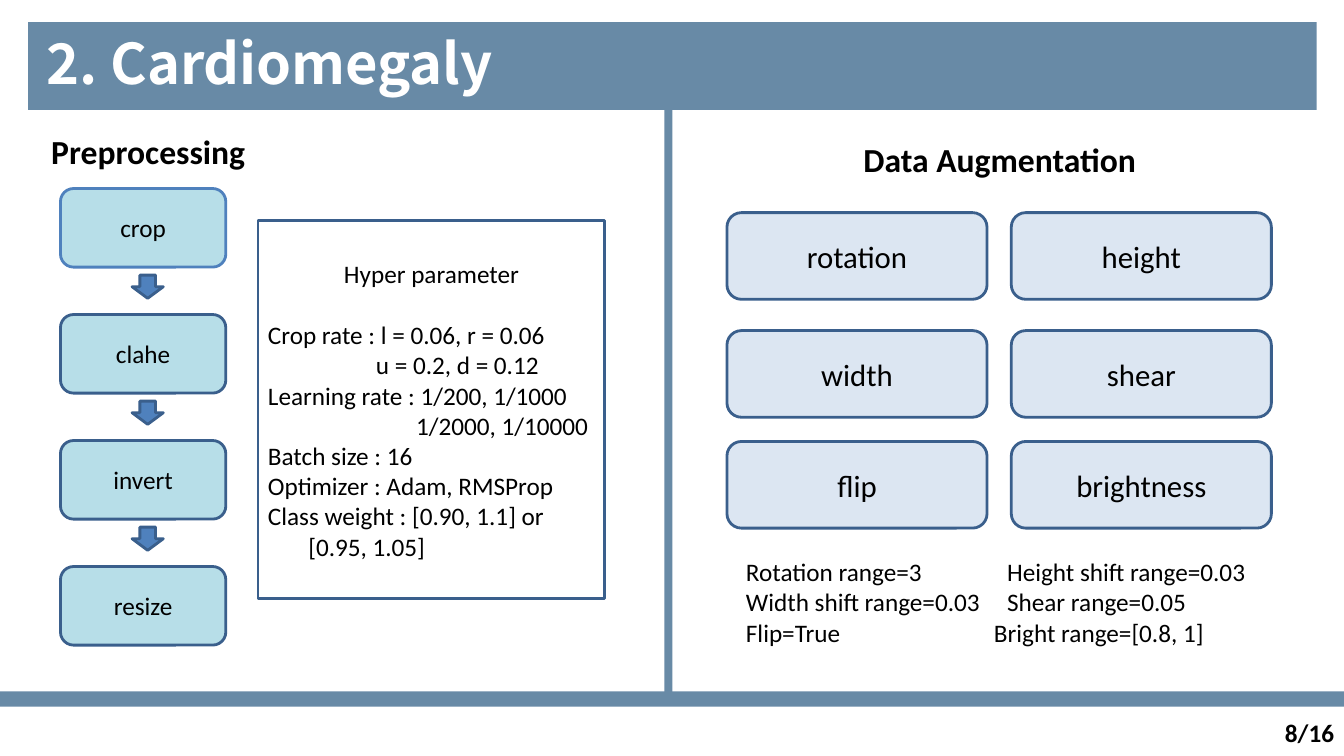
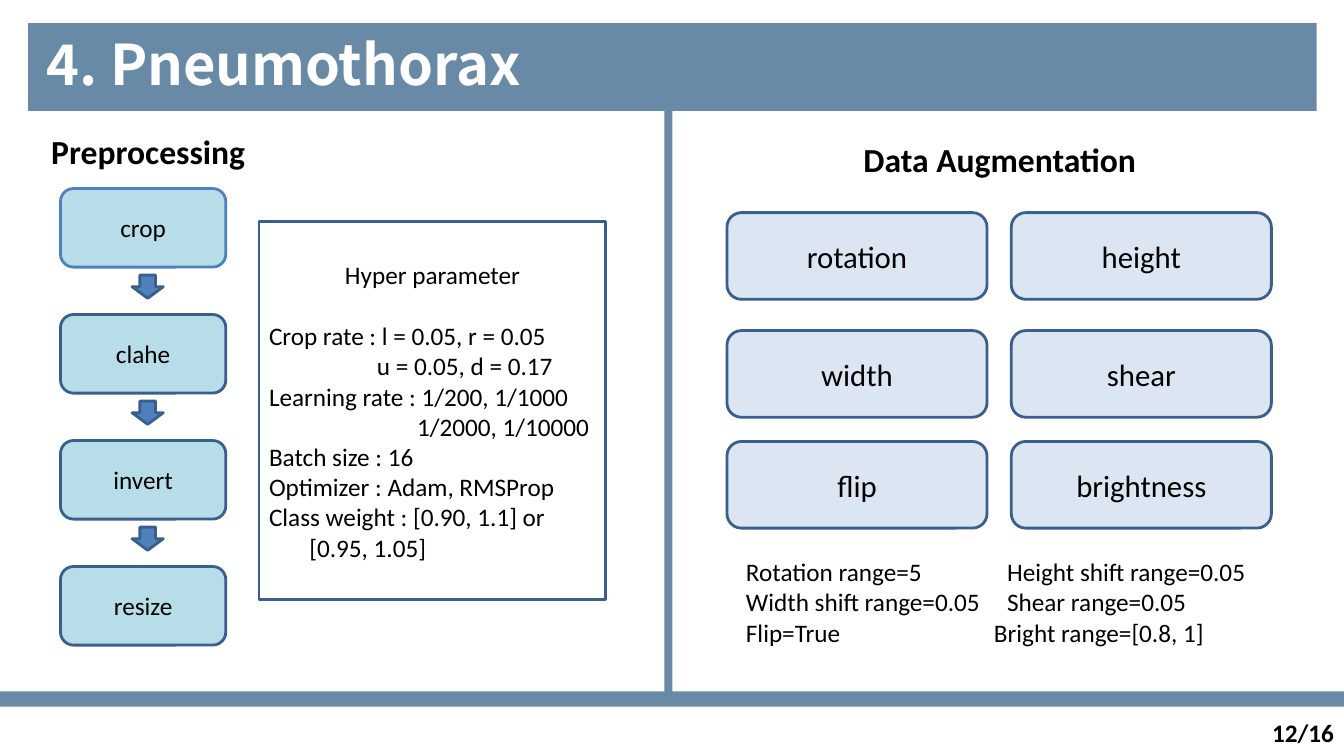
import pptx
import pptx.dml.color
import pptx.enum.shapes
import pptx.enum.text
import pptx.oxml
import pptx.oxml.ns
import pptx.util

Inches = pptx.util.Inches
Pt = pptx.util.Pt
Shape = pptx.enum.shapes.MSO_SHAPE
Align = pptx.enum.text.PP_ALIGN
Anchor = pptx.enum.text.MSO_ANCHOR
rgb = pptx.dml.color.RGBColor.from_string

# Shared look
BAND, EDGE, ACCENT = "688AA6", "3A5F8C", "4F81BD"
STEP_FILL, METHOD_FILL = "B7DEE8", "DCE6F2"
BODY = {"name": "Calibri", "size": Pt(18), "bold": False}
METHOD = BODY | {"size": Pt(22)}
HEADING = BODY | {"size": Pt(24), "bold": True}
NUMBER = BODY | {"bold": True}
TITLE = {"name": "Noto Sans CJK KR", "size": Pt(40), "bold": True}

STEPS = ["crop", "clahe", "invert", "resize"]
STEP_TOP, STEP_PITCH = 1.87, 1.25
METHODS = [
    (2.11, ["rotation", "height"]),
    (3.28, ["width", "shear"]),
    (4.38, ["flip", "brightness"]),
]

# What differs from slide to slide
SLIDES = [
    {"title": "2. Cardiomegaly", "title_top": 0.22, "number": "8/16",
     "panel_at": (2.56, 2.19),
     "crop": ("l = 0.06, r = 0.06", "u = 0.2, d = 0.12"),
     "rotation": "3", "shift": "0.03"},
    {"title": "4. Pneumothorax", "title_top": 0.23, "number": "12/16",
     "panel_at": (2.57, 2.2),
     "crop": ("l = 0.05, r = 0.05", "u = 0.05, d = 0.17"),
     "rotation": "5", "shift": "0.05"},
]


def add_block(page, kind, at, fill, edge=None):
    block = page.shapes.add_shape(kind, *map(Inches, at))
    block.shadow.inherit = False
    block.fill.solid()
    block.fill.fore_color.rgb = rgb(fill)
    if edge:
        block.line.color.rgb = rgb(edge)
        block.line.width = Pt(2)
    else:
        block.line.fill.background()
    return block


def write(box, lines, style, align=Align.LEFT, color="000000"):
    frame = box.text_frame
    frame.word_wrap = True
    for index, line in enumerate(lines):
        para = frame.add_paragraph() if index else frame.paragraphs[0]
        para.alignment = align
        span = para.add_run()
        span.text = line
        span.font.color.rgb = rgb(color)
        for name, value in style.items():
            setattr(span.font, name, value)
    return frame.paragraphs


deck = pptx.Presentation()
deck.slide_width, deck.slide_height = Inches(13.33), Inches(7.5)

for content in SLIDES:
    page = deck.slides.add_slide(deck.slide_layouts[5])

    # Title band
    title = page.shapes.title
    title.left, title.top = Inches(0.28), Inches(content["title_top"])
    title.width, title.height = Inches(12.78), Inches(0.87)
    title.fill.solid()
    title.fill.fore_color.rgb = rgb(BAND)
    frame_format = {
        "margin_left": Inches(0.18), "margin_top": Inches(0.14),
        "margin_right": 0, "margin_bottom": 0,
        "vertical_anchor": Anchor.TOP,
        "auto_size": pptx.enum.text.MSO_AUTO_SIZE.NONE,
    }
    for name, value in frame_format.items():
        setattr(title.text_frame, name, value)
    write(title, [content["title"]], TITLE, color="FFFFFF")[0].line_spacing = 0.9

    # Bottom band and column divider
    for at in [(0, 6.86, 13.33, 0.15), (6.59, 1.02, 0.08, 5.94)]:
        add_block(page, Shape.RECTANGLE, at, BAND)

    # Headings and page number
    for text, at, style, align in [
        ("Preprocessing", (0.41, 1.25, 4, 0.5), HEADING, Align.LEFT),
        ("Data Augmentation", (7.53, 1.33, 4.77, 0.5), HEADING, Align.CENTER),
        (content["number"], (12.33, 7.07, 1, 0.4), NUMBER, Align.RIGHT),
    ]:
        box = page.shapes.add_textbox(*map(Inches, at))
        write(box, [text], style, align)

    # Preprocessing steps with arrows between them
    for index, step in enumerate(STEPS):
        top = STEP_TOP + index * STEP_PITCH
        box = add_block(page, Shape.ROUNDED_RECTANGLE, (0.6, top, 1.64, 0.78),
                        STEP_FILL, EDGE if index else ACCENT)
        write(box, [step], BODY, Align.CENTER)
        if index < len(STEPS) - 1:
            add_block(page, Shape.DOWN_ARROW, (1.31, top + 0.86, 0.31, 0.23),
                      ACCENT, EDGE)

    # Hyper parameter panel
    panel = add_block(page, Shape.RECTANGLE, (*content["panel_at"], 3.44, 3.75),
                      "FFFFFF", EDGE)
    paras = write(panel, [
        "Hyper parameter",
        f"Crop rate : {content['crop'][0]}",
        content["crop"][1],
        "Learning rate : 1/200, 1/1000",
        "1/2000, 1/10000",
        "Batch size : 16",
        "Optimizer : Adam, RMSProp",
        "Class weight : [0.90, 1.1] or",
        "[0.95, 1.05]",
    ], BODY)
    paras[0].alignment = Align.CENTER
    paras[0].space_after = Pt(22)
    for index, indent in {2: 1.07, 4: 1.47, 8: 0.4}.items():
        paras[index]._p.get_or_add_pPr().set("marL", str(Inches(indent)))

    # Augmentation methods
    for top, names in METHODS:
        for column, name in enumerate(names):
            box = add_block(page, Shape.ROUNDED_RECTANGLE,
                            (7.21 + column * 2.82, top, 2.58, 0.86),
                            METHOD_FILL, EDGE)
            write(box, [name], METHOD, Align.CENTER)

    # Augmentation ranges, second column set by a tab stop
    ranges = page.shapes.add_textbox(*map(Inches, (7.3, 5.47, 5.69, 1.01)))
    paras = write(ranges, [
        f"Rotation range={content['rotation']}\tHeight shift range={content['shift']}",
        f"Width shift range={content['shift']}\tShear range=0.05",
        "Flip=True\tBright range=[0.8, 1]",
    ], BODY)
    for para, stop in zip(paras, [2.59, 2.59, 2.46]):
        para._p.get_or_add_pPr().append(pptx.oxml.parse_xml(
            f"<a:tabLst {pptx.oxml.ns.nsdecls('a')}>"
            f'<a:tab pos="{Inches(stop)}" algn="l"/></a:tabLst>'))

deck.save("out.pptx")
